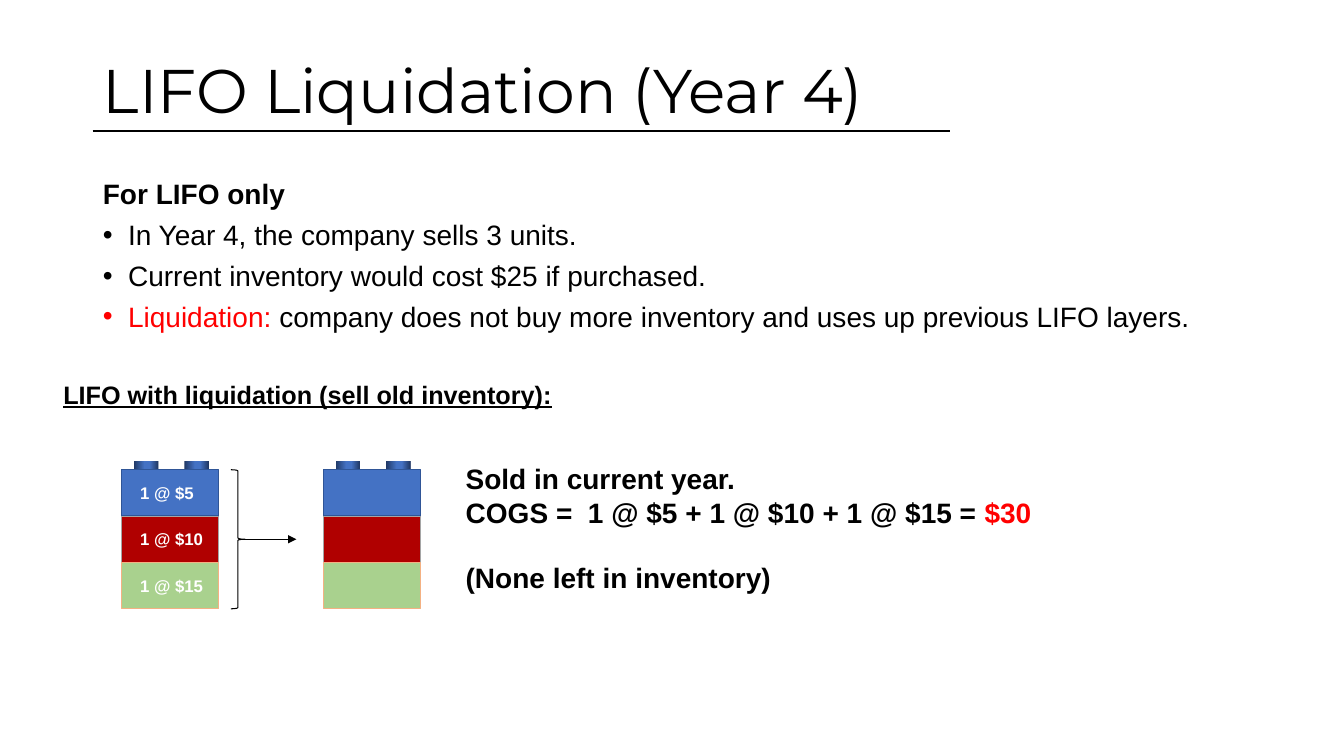
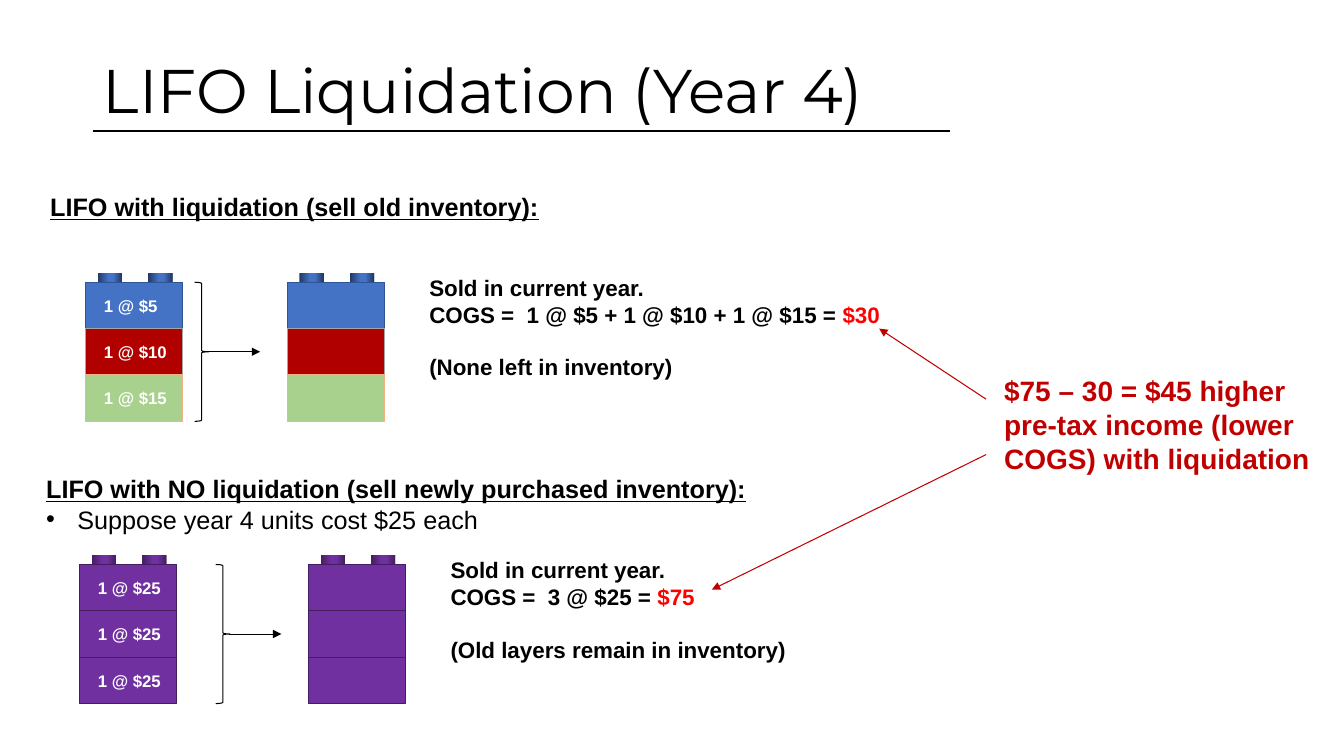
import dataclasses

import lxml.etree
import pptx
import pptx.dml.color
import pptx.enum.shapes
import pptx.enum.text
import pptx.oxml.ns
import pptx.util

Inches = pptx.util.Inches
Pt = pptx.util.Pt
qn = pptx.oxml.ns.qn
SHAPES = pptx.enum.shapes.MSO_SHAPE
ANCHOR = pptx.enum.text.MSO_ANCHOR
ALIGN = pptx.enum.text.PP_ALIGN


@dataclasses.dataclass(frozen=True)
class Theme:
    title_font: str = "Montserrat"
    body_font: str = "Arial"
    title_size: int = 44
    body_size: int = 20
    heading_size: int = 18
    note_size: int = 16
    label_size: int = 12
    ink: str = "000000"
    paper: str = "FFFFFF"
    accent: str = "FF0000"
    callout: str = "C00000"


@dataclasses.dataclass(frozen=True)
class Brick:
    fill: str
    edge: str
    label: str


THEME = Theme()
KNOB_SHADES = {"4472C4": "203864", "7030A0": "441D61"}
OLD_LAYERS = [
    Brick("4472C4", "2F5597", "1 @ $5"),
    Brick("B00000", "A5A5A5", "1 @ $10"),
    Brick("A9D18E", "F4B183", "1 @ $15"),
]
NEW_UNITS = [Brick("7030A0", "441D61", "1 @ $25")] * 3
BRICK_WIDTH, BRICK_HEIGHT = 0.96, 0.46
LIQUIDATION_HEADING = "LIFO with liquidation (sell old inventory):"
LIQUIDATION_NOTE = [
    [("Sold in current year.", THEME.ink)],
    [("COGS =  1 @ $5 + 1 @ $10 + 1 @ $15 = ", THEME.ink), ("$30", THEME.accent)],
    [("(None left in inventory)", THEME.ink)],
]
NEW_UNITS_NOTE = [
    [("Sold in current year.", THEME.ink)],
    [("COGS =  3 @ $25 = ", THEME.ink), ("$75", THEME.accent)],
    [("(Old layers remain in inventory)", THEME.ink)],
]


def rgb(value):
    return pptx.dml.color.RGBColor.from_string(value)


def style_run(run, size, color, bold=False, underline=False, face=THEME.body_font):
    font = run.font
    font.name, font.size, font.bold, font.underline = face, Pt(size), bold, underline
    font.color.rgb = rgb(color)


def write_line(paragraph, pieces, size, bold=False, underline=False):
    """Fill a paragraph with (text, colour) pieces."""
    for text, color in pieces:
        run = paragraph.add_run()
        run.text = text
        style_run(run, size, color, bold, underline)


def set_bullet(paragraph, indent):
    """Give a hanging bullet, or none when indent is 0."""
    properties = paragraph._p.get_or_add_pPr()
    properties.set("marL", str(Inches(indent)))
    properties.set("indent", str(-Inches(indent)))
    if indent:
        lxml.etree.SubElement(properties, qn("a:buFont")).set("typeface", THEME.body_font)
        lxml.etree.SubElement(properties, qn("a:buChar")).set("char", "•")
    else:
        lxml.etree.SubElement(properties, qn("a:buNone"))


def place(shape, left, top, width, height):
    shape.left, shape.top = Inches(left), Inches(top)
    shape.width, shape.height = Inches(width), Inches(height)


def add_text_frame(slide, left, top, width, height):
    box = slide.shapes.add_textbox(Inches(left), Inches(top), Inches(width), Inches(height))
    box.text_frame.word_wrap = True
    return box.text_frame


def add_preset(slide, preset, left, top, width, height):
    shape = slide.shapes.add_shape(
        preset, Inches(left), Inches(top), Inches(width), Inches(height))
    shape.shadow.inherit = False
    return shape


def add_line(slide, start, end, color, weight, arrow=True):
    line = slide.shapes.add_connector(
        pptx.enum.shapes.MSO_CONNECTOR.STRAIGHT, *map(Inches, start + end))
    line.line.color.rgb = rgb(color)
    line.line.width = Pt(weight)
    if arrow:
        outline = line.line._get_or_add_ln()
        lxml.etree.SubElement(outline, qn("a:tailEnd")).set("type", "triangle")
    lxml.etree.SubElement(line.element.spPr, qn("a:effectLst"))
    return line


def add_title_rule(slide, master):
    """Draw the rule under the title and hand it to the master."""
    rule = add_line(slide, (0.92, 1.3), (9.42, 1.3), THEME.ink, 1, arrow=False)
    master.shapes.element.append(rule.element)


def add_titled_slide(deck, layout_name):
    slide = deck.slides.add_slide(deck.slide_layouts.get_by_name(layout_name))
    title = slide.shapes.title
    place(title, 0.92, 0.2, 11.5, 1.45)
    frame = title.text_frame
    frame.text = "LIFO Liquidation (Year 4)"
    frame.auto_size = pptx.enum.text.MSO_AUTO_SIZE.NONE
    frame.vertical_anchor = ANCHOR.MIDDLE
    heading = frame.paragraphs[0]
    heading.alignment, heading.line_spacing = ALIGN.LEFT, 0.9
    style_run(heading.runs[0], THEME.title_size, THEME.ink, face=THEME.title_font)
    return slide


def fill_body(body):
    place(body, 0.92, 1.77, 11.5, 1.62)
    frame = body.text_frame
    frame.auto_size = pptx.enum.text.MSO_AUTO_SIZE.NONE
    facts = [
        [("For LIFO only", THEME.ink)],
        [("In Year 4, the company sells 3 units.", THEME.ink)],
        [("Current inventory would cost $25 if purchased.", THEME.ink)],
        [("Liquidation:", THEME.accent),
         (" company does not buy more inventory and uses up previous LIFO layers.", THEME.ink)],
    ]
    for index, fact in enumerate(facts):
        paragraph = frame.add_paragraph() if index else frame.paragraphs[0]
        set_bullet(paragraph, 0.25 if index else 0)
        paragraph.line_spacing = 0.8
        paragraph.space_before = Pt(10 if index else 0)
        write_line(paragraph, fact, THEME.body_size, bold=index == 0)


def add_knob(slide, left, top, color):
    knob = add_preset(slide, SHAPES.RECTANGLE, left, top, 0.24, 0.09)
    knob.line.fill.background()
    knob.fill.gradient()
    knob.fill.gradient_angle = 0
    stops = knob.element.spPr.find(".//" + qn("a:gsLst"))
    stops.clear()
    shade = KNOB_SHADES[color]
    for percent, tone in ((0, shade), (44, color), (65, color), (100, shade)):
        stop = lxml.etree.SubElement(stops, qn("a:gs"))
        stop.set("pos", str(percent * 1000))
        lxml.etree.SubElement(stop, qn("a:srgbClr")).set("val", tone)


def add_stack(slide, left, top, bricks, labelled):
    for offset in (0.12, 0.62):
        add_knob(slide, left + offset, top - 0.09, bricks[0].fill)
    for row, brick in enumerate(bricks):
        block = add_preset(slide, SHAPES.RECTANGLE, left, top + row * BRICK_HEIGHT,
                           BRICK_WIDTH, BRICK_HEIGHT)
        block.fill.solid()
        block.fill.fore_color.rgb = rgb(brick.fill)
        block.line.color.rgb = rgb(brick.edge)
        block.line.width = Pt(0.75)
        if labelled:
            frame = block.text_frame
            frame.word_wrap = True
            frame.vertical_anchor = ANCHOR.MIDDLE
            frame.margin_left, frame.margin_right = Inches(0.18), 0
            frame.text = brick.label
            frame.paragraphs[0].alignment = ALIGN.LEFT
            style_run(frame.paragraphs[0].runs[0], THEME.label_size, THEME.paper, bold=True)


def add_note(slide, left, top, lines, size):
    """Write the cost lines, the last one set off by a line's height."""
    frame = add_text_frame(slide, left, top, 0.3 * size, 0.07 * size)
    for index, line in enumerate(lines):
        paragraph = frame.add_paragraph() if index else frame.paragraphs[0]
        if index == len(lines) - 1:
            paragraph.space_before = Pt(1.15 * size)
        write_line(paragraph, line, size, bold=True)


def add_sale(slide, left, top, bricks, note, note_size, brace_offset=1.08):
    """Show labelled stock, the arrow to the units sold, and their cost."""
    brace_left = left + brace_offset
    sold_left = brace_left + 0.92
    stack_height = BRICK_HEIGHT * len(bricks)
    middle = top + stack_height / 2
    add_stack(slide, left, top, bricks, labelled=True)
    brace = add_preset(slide, SHAPES.RIGHT_BRACE, brace_left, top, 0.14, stack_height)
    brace.fill.background()
    brace.line.color.rgb = rgb(THEME.ink)
    brace.line.width = Pt(0.75)
    add_line(slide, (brace_left + 0.13, middle), (brace_left + 0.65, middle), THEME.ink, 0.5)
    add_stack(slide, sold_left, top, bricks, labelled=False)
    add_note(slide, sold_left + 1.31, top - 0.13, note, note_size)


def add_heading(slide, left, top, text, detail=None):
    frame = add_text_frame(slide, left, top, 7.3, 0.71 if detail else 0.4)
    write_line(frame.paragraphs[0], [(text, THEME.ink)], THEME.heading_size, True, True)
    if detail:
        bullet = frame.add_paragraph()
        set_bullet(bullet, 0.31)
        write_line(bullet, [(detail, THEME.ink)], THEME.heading_size)


def add_callout(slide, left, top):
    """State the income difference, with arrows to both cost figures."""
    frame = add_text_frame(slide, left, top, 3.38, 1.11)
    lines = ("$75 – 30 = $45 higher", "pre-tax income (lower COGS) with liquidation")
    for index, line in enumerate(lines):
        paragraph = frame.add_paragraph() if index else frame.paragraphs[0]
        write_line(paragraph, [(line, THEME.callout)], THEME.body_size, bold=True)
    for drop, target in ((0.3, (8.72, 3.26)), (0.85, (7.06, 5.85))):
        add_line(slide, (left - 0.08, top + drop), target, THEME.callout, 0.75)


def build_liquidation_slide(deck):
    slide = add_titled_slide(deck, "Title and Content")
    add_title_rule(slide, deck.slide_master)
    fill_body(slide.placeholders[1])
    add_heading(slide, 0.53, 3.71, LIQUIDATION_HEADING)
    add_sale(slide, 1.21, 4.66, OLD_LAYERS, LIQUIDATION_NOTE, THEME.body_size)


def build_comparison_slide(deck):
    slide = add_titled_slide(deck, "Title Only")
    add_heading(slide, 0.4, 1.85, LIQUIDATION_HEADING)
    add_sale(slide, 0.85, 2.8, OLD_LAYERS, LIQUIDATION_NOTE, THEME.note_size)
    add_heading(slide, 0.36, 4.65, "LIFO with NO liquidation (sell newly purchased inventory):",
                "Suppose year 4 units cost $25 each")
    add_sale(slide, 0.79, 5.6, NEW_UNITS, NEW_UNITS_NOTE, THEME.note_size, brace_offset=1.35)
    add_callout(slide, 9.86, 3.66)


def main():
    deck = pptx.Presentation()
    deck.slide_width, deck.slide_height = Inches(13.33), Inches(7.5)
    build_liquidation_slide(deck)
    build_comparison_slide(deck)
    deck.save("out.pptx")


if __name__ == "__main__":
    main()
